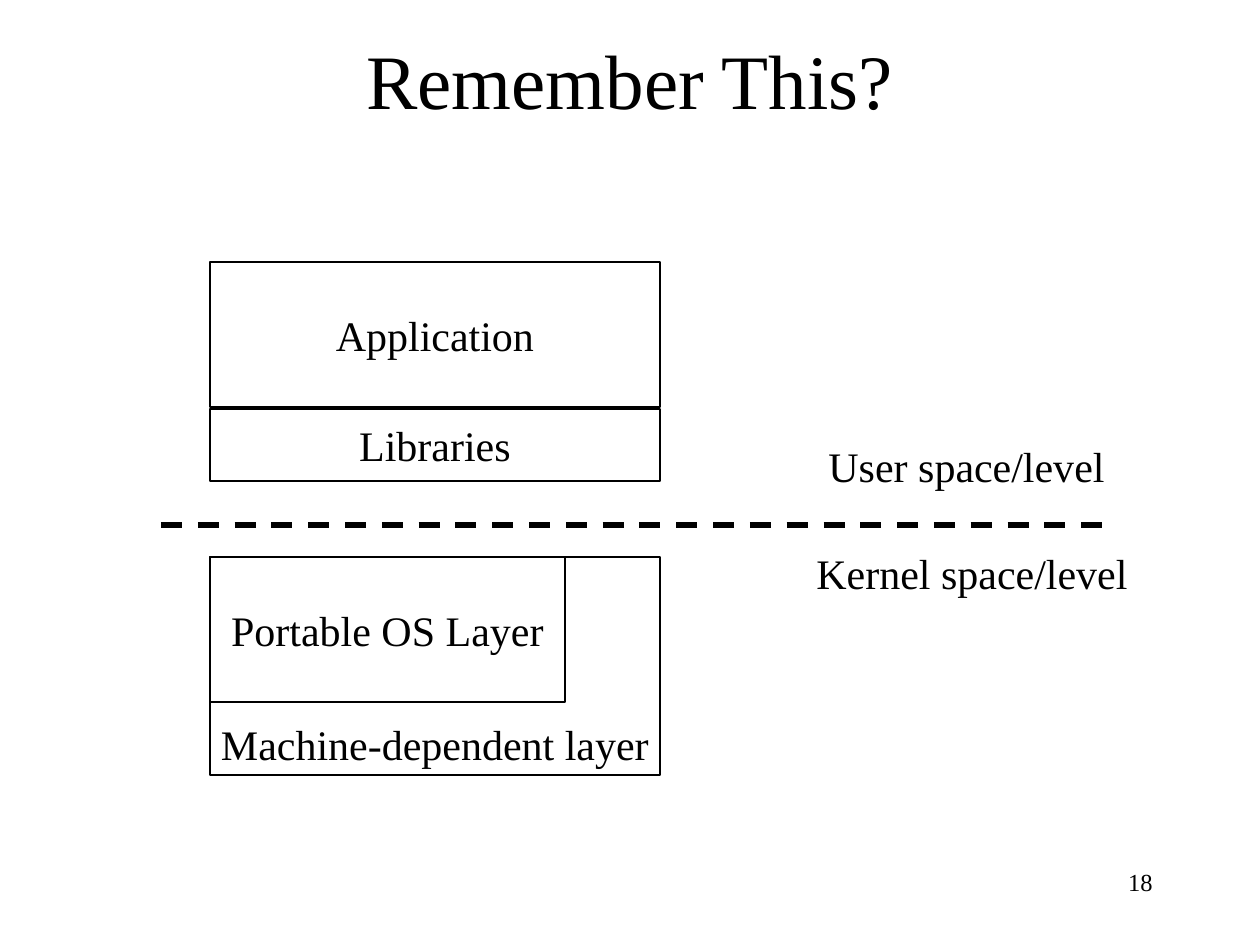
from typing import NamedTuple

from pptx import Presentation
from pptx.dml.color import RGBColor
from pptx.enum.dml import MSO_LINE
from pptx.enum.shapes import MSO_CONNECTOR, MSO_SHAPE
from pptx.enum.text import MSO_ANCHOR, MSO_AUTO_SIZE, PP_ALIGN
from pptx.oxml.ns import qn
from pptx.util import Emu, Pt
from lxml import etree

RECT = MSO_SHAPE.RECTANGLE
STRAIGHT = MSO_CONNECTOR.STRAIGHT
DASH = MSO_LINE.DASH
GROW = MSO_AUTO_SIZE.SHAPE_TO_FIT_TEXT
TOP, MIDDLE, BOTTOM = MSO_ANCHOR.TOP, MSO_ANCHOR.MIDDLE, MSO_ANCHOR.BOTTOM
LEFT, CENTER, RIGHT = PP_ALIGN.LEFT, PP_ALIGN.CENTER, PP_ALIGN.RIGHT

PX_PER_INCH = 126
FONT = "Times New Roman"
COLORS = {"ink": "000000", "paper": "FFFFFF"}

STACK_X, STACK_W = 210, 450
APP_Y, LIB_Y, KERNEL_Y = 262, 409, 557
LAYER_H, LIB_H, KERNEL_H = 145, 72, 218
BOUNDARY_Y = 525


class Box(NamedTuple):
    x: int
    y: int
    w: int
    h: int


class Layer(NamedTuple):
    text: str
    box: Box
    anchor: MSO_ANCHOR = MIDDLE


class Label(NamedTuple):
    text: str
    box: Box
    size: int = 24
    align: PP_ALIGN = LEFT


LAYERS = [
    Layer("Application", Box(STACK_X, APP_Y, STACK_W, LAYER_H)),
    Layer("Portable OS Layer", Box(STACK_X, KERNEL_Y, 355, LAYER_H)),
    Layer("Libraries", Box(STACK_X, LIB_Y, STACK_W, LIB_H)),
    Layer("Machine-dependent layer", Box(STACK_X, KERNEL_Y, STACK_W, KERNEL_H), BOTTOM),
]
LABELS = [
    Label("User space/level", Box(816, 434, 304, 63)),
    Label("Kernel space/level", Box(804, 541, 340, 63)),
]
PAGE_NUMBER = Label("18", Box(903, 861, 262, 63), 14, RIGHT)


def px(n: int) -> Emu:
    return Emu(round(n * 914400 / PX_PER_INCH))


def color(name: str) -> RGBColor:
    return RGBColor.from_string(COLORS[name])


def write(sp, text: str, size: int, align: PP_ALIGN, anchor: MSO_ANCHOR, wrap: bool = False) -> None:
    tf = sp.text_frame
    tf.word_wrap = wrap
    tf.vertical_anchor = anchor
    p = tf.paragraphs[0]
    p.text = text
    p.alignment = align
    p.font.name = FONT
    p.font.size = Pt(size)
    p.font.color.rgb = color("ink")


def add_title(s, text: str, box: Box) -> None:
    sp = s.shapes.title
    sp.left, sp.top, sp.width, sp.height = map(px, box)
    write(sp, text, 44, CENTER, MIDDLE, True)


def add_layer(s, layer: Layer) -> None:
    sp = s.shapes.add_shape(RECT, *map(px, layer.box))
    sp.shadow.inherit = False
    sp.fill.background()
    sp.line.color.rgb = color("ink")
    sp.line.width = Pt(1)
    write(sp, layer.text, 24, CENTER, layer.anchor)


def add_label(s, label: Label, grow: bool = True) -> None:
    sp = s.shapes.add_textbox(*map(px, label.box))
    write(sp, label.text, label.size, label.align, TOP, not grow)
    if grow:
        sp.text_frame.auto_size = GROW


def add_boundary(s, x1: int, x2: int, y: int) -> None:
    line = s.shapes.add_connector(STRAIGHT, px(x1), px(y), px(x2), px(y))
    line.line.color.rgb = color("ink")
    line.line.width = Pt(3)
    line.line.dash_style = DASH
    etree.SubElement(line._element.spPr, qn("a:effectLst"))


def main() -> None:
    prs = Presentation()
    prs.slide_width, prs.slide_height = px(1260), px(945)
    s = prs.slides.add_slide(prs.slide_layouts[5])
    s.background.fill.solid()
    s.background.fill.fore_color.rgb = color("paper")
    add_title(s, "Remember This?", Box(95, 0, 1070, 158))
    for layer in LAYERS:
        add_layer(s, layer)
    add_boundary(s, 161, 1102, BOUNDARY_Y)
    for label in LABELS:
        add_label(s, label)
    add_label(s, PAGE_NUMBER, grow=False)
    prs.save("out.pptx")


if __name__ == "__main__":
    main()
